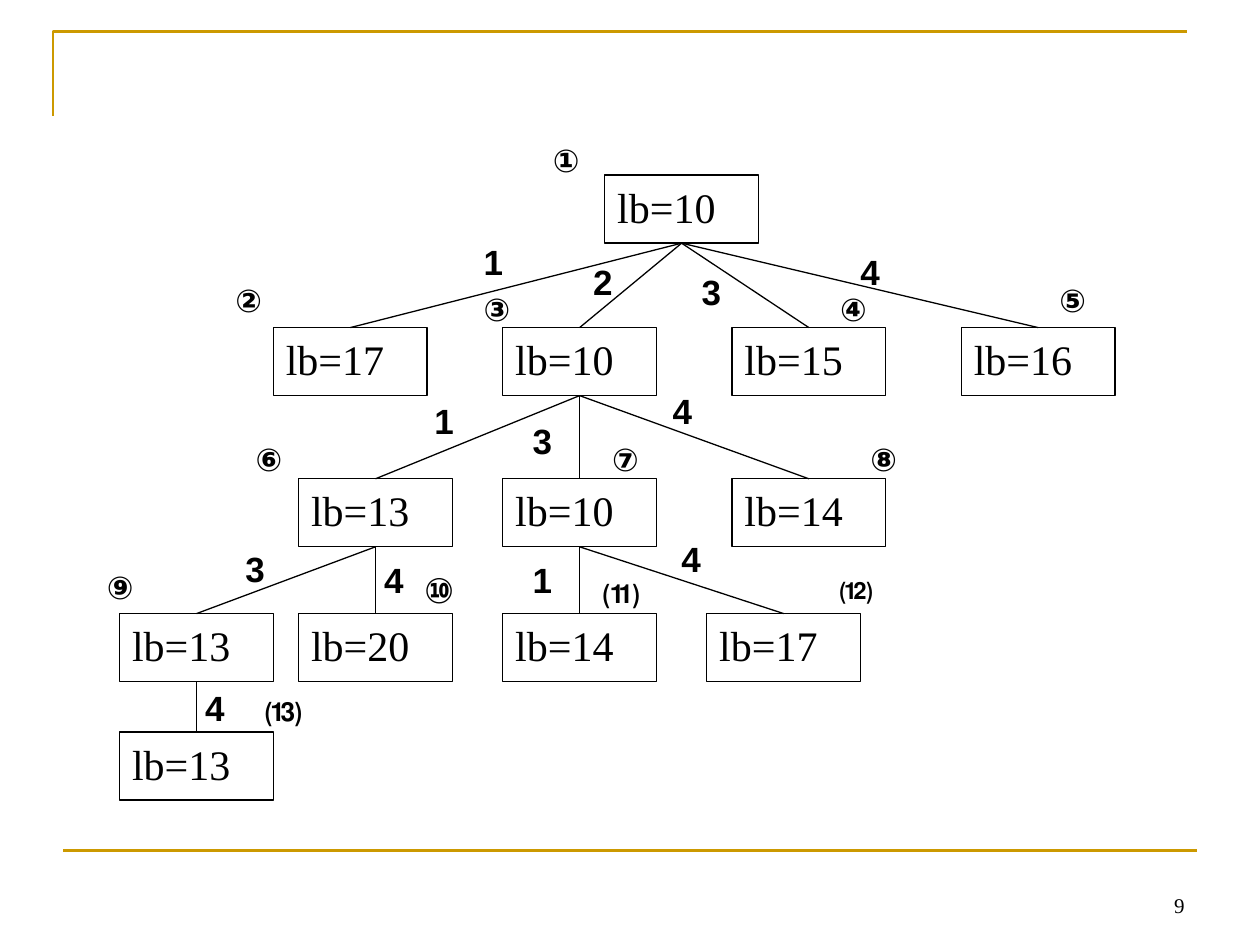
from collections import namedtuple

from lxml import etree
from pptx import Presentation
from pptx.dml.color import RGBColor
from pptx.enum.shapes import MSO_CONNECTOR, MSO_SHAPE
from pptx.enum.text import MSO_ANCHOR, MSO_AUTO_SIZE, PP_ALIGN
from pptx.oxml.ns import qn
from pptx.util import Inches, Pt

STRAIGHT = MSO_CONNECTOR.STRAIGHT
RECTANGLE = MSO_SHAPE.RECTANGLE
TOP, BOTTOM = MSO_ANCHOR.TOP, MSO_ANCHOR.BOTTOM
LEFT, RIGHT, JUSTIFY = PP_ALIGN.LEFT, PP_ALIGN.RIGHT, PP_ALIGN.JUSTIFY
GROW = MSO_AUTO_SIZE.SHAPE_TO_FIT_TEXT
TOP_SITE, BOTTOM_SITE = 0, 2

COLORS = {"frame": "CC9900", "ink": "000000", "paper": "FFFFFF"}
NODE_WIDTH, NODE_HEIGHT = 1.22, 0.54
LEVEL_TOPS = [1.39, 2.6, 3.8, 4.87, 5.81]

# position: left and top of the visiting-order mark
Node = namedtuple("Node", "mark parent level left bound position size")
NODES = [
    Node("①", None, 0, 4.8, 10, (4.29, 1.07), 18),
    Node("②", "①", 1, 2.17, 17, (1.77, 2.18), 18),
    Node("③", "①", 1, 3.99, 10, (3.74, 2.25), 18),
    Node("④", "①", 1, 5.81, 15, (6.57, 2.25), 18),
    Node("⑤", "①", 1, 7.63, 16, (8.31, 2.18), 18),
    Node("⑥", "③", 2, 2.37, 13, (1.93, 3.44), 18),
    Node("⑦", "③", 2, 3.99, 10, (4.76, 3.44), 18),
    Node("⑧", "③", 2, 5.81, 14, (6.81, 3.44), 18),
    Node("⑨", "⑥", 3, 0.95, 13, (0.75, 4.46), 18),
    Node("⑩", "⑥", 3, 2.37, 20, (3.27, 4.46), 20),
    Node("⑾", "⑦", 3, 3.99, 14, (4.69, 4.46), 20),
    Node("⑿", "⑦", 3, 5.61, 17, (6.57, 4.46), 18),
    Node("⒀", "⑨", 4, 0.95, 13, (2.01, 5.4), 20),
]

# edge label: left and top of each place where it stands
EDGE_LABELS = {
    "1": [(3.74, 1.86), (3.35, 3.12), (4.13, 4.38)],
    "2": [(4.61, 2.02)],
    "3": [(5.47, 2.1), (1.85, 4.3), (4.13, 3.28)],
    "4": [(6.73, 1.94), (5.24, 3.04), (5.31, 4.22), (2.95, 4.38), (1.53, 5.4)],
}


def color(name):
    return RGBColor.from_string(COLORS[name])


def set_line(shape, name, width):
    shape.line.color.rgb = color(name)
    shape.line.width = Pt(width)


def write(shape, text, size, font, bold=False, align=LEFT, anchor=TOP):
    frame = shape.text_frame
    frame.word_wrap = True
    frame.vertical_anchor = anchor
    paragraph = frame.paragraphs[0]
    paragraph.text = text
    paragraph.alignment = align
    paragraph.font.size = Pt(size)
    paragraph.font.name = font
    paragraph.font.bold = bold
    paragraph.font.color.rgb = color("ink")


def add_line(slide, start, end, name, width):
    line = slide.shapes.add_connector(STRAIGHT, *map(Inches, start + end))
    set_line(line, name, width)
    etree.SubElement(line._element.spPr, qn("a:effectLst"))
    return line


def add_frame(slide):
    """Draw the corner rule above and the straight rule below the content."""
    builder = slide.shapes.build_freeform(Inches(0.42), Inches(0.92))
    corner = [(Inches(0.42), Inches(0.25)), (Inches(9.42), Inches(0.25))]
    builder.add_line_segments(corner, close=False)
    shape = builder.convert_to_shape()
    shape.shadow.inherit = False
    shape.fill.background()
    set_line(shape, "frame", 1.5)
    add_line(slide, (0.5, 6.75), (9.5, 6.75), "frame", 1.5)


def add_node(slide, node):
    box = slide.shapes.add_shape(
        RECTANGLE, Inches(node.left), Inches(LEVEL_TOPS[node.level]),
        Inches(NODE_WIDTH), Inches(NODE_HEIGHT))
    box.shadow.inherit = False
    box.fill.solid()
    box.fill.fore_color.rgb = color("paper")
    set_line(box, "ink", 0.75)
    write(box, f"lb={node.bound}", 24, "Times New Roman", align=JUSTIFY)
    return box


def add_edge(slide, parent, child):
    edge = add_line(slide, (0, 0), (0, 0), "ink", 0.75)
    edge.begin_connect(parent, BOTTOM_SITE)
    edge.end_connect(child, TOP_SITE)


def add_label(slide, text, position, width, size):
    height = 0.44 if size == 20 else 0.4
    box = slide.shapes.add_textbox(*map(Inches, (*position, width, height)))
    write(box, text, size, "Arial", bold=True)
    box.text_frame.auto_size = GROW


def add_tree(slide):
    boxes = {}
    for node in NODES:
        boxes[node.mark] = add_node(slide, node)
        if node.parent:
            add_edge(slide, boxes[node.parent], boxes[node.mark])


def add_page_number(slide, number):
    box = slide.shapes.add_textbox(Inches(7.17), Inches(6.83), Inches(2.33), Inches(0.5))
    write(box, number, 12, "Times New Roman", align=RIGHT, anchor=BOTTOM)


def main():
    presentation = Presentation()
    presentation.slide_width = Inches(10)
    presentation.slide_height = Inches(7.5)
    slide = presentation.slides.add_slide(presentation.slide_layouts[6])
    add_frame(slide)
    add_tree(slide)
    for text, positions in EDGE_LABELS.items():
        for position in positions:
            add_label(slide, text, position, 0.47, 20)
    for node in NODES:
        add_label(slide, node.mark, node.position, 0.55, node.size)
    add_page_number(slide, "9")
    presentation.save("out.pptx")


if __name__ == "__main__":
    main()
